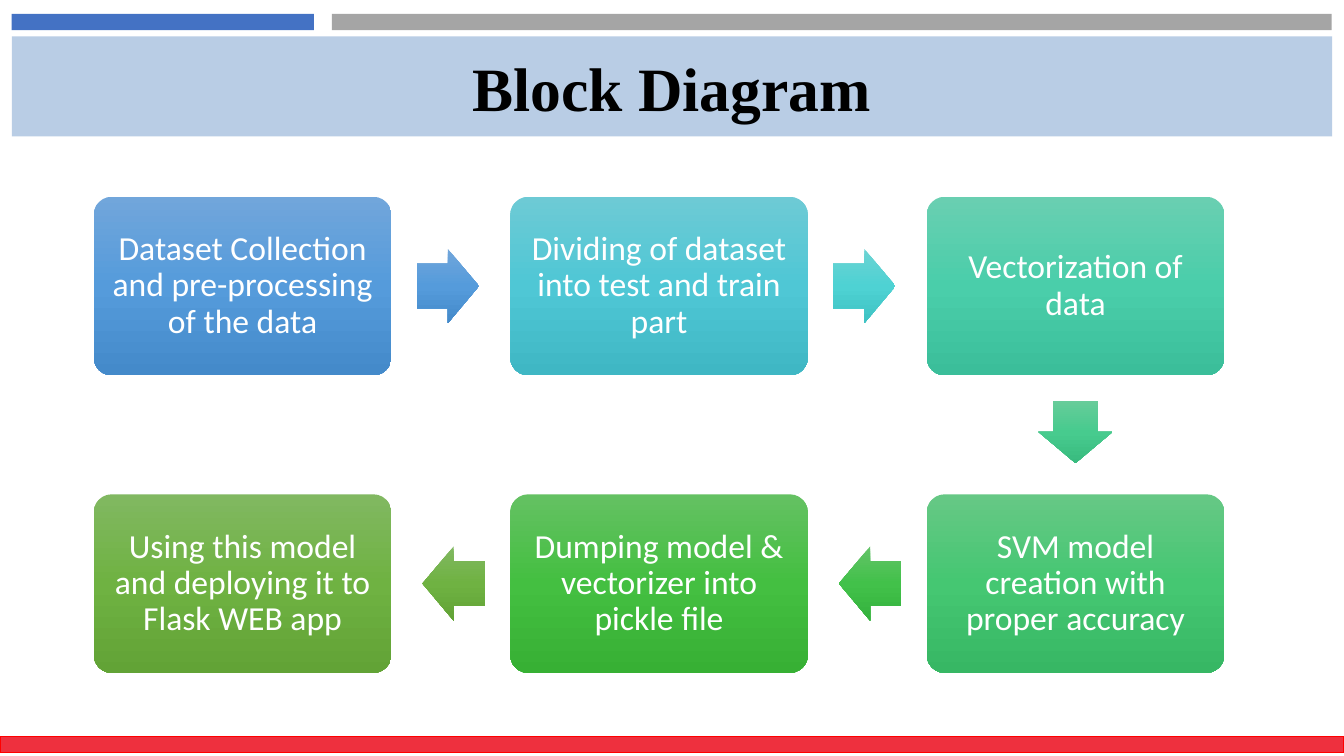
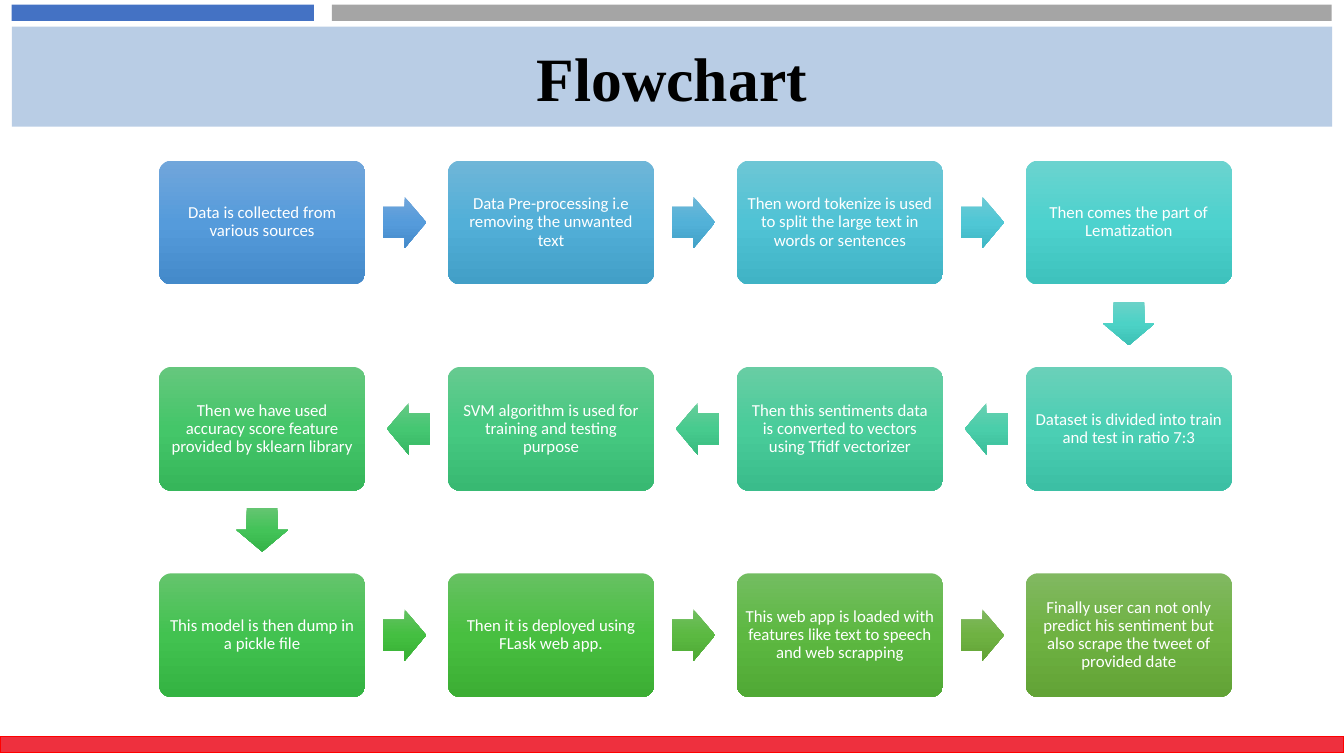
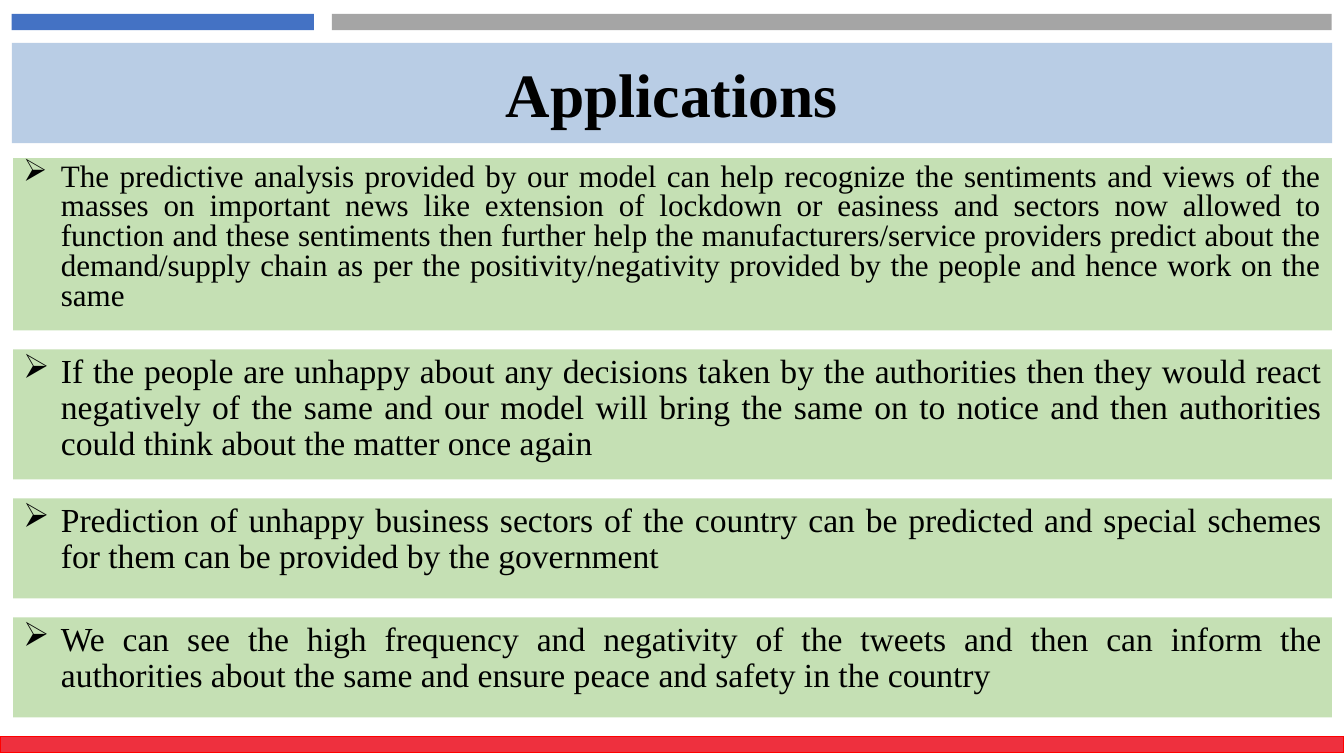
from copy import deepcopy

from pptx import Presentation
from pptx.dml.color import RGBColor
from pptx.enum.shapes import MSO_SHAPE as Preset
from pptx.enum.text import MSO_ANCHOR as Anchor, MSO_AUTO_SIZE as AutoSize, PP_ALIGN as Align
from pptx.oxml.ns import qn
from pptx.oxml.xmlchemy import OxmlElement
from pptx.util import Pt

COLOURS = {
    "accent": "4472C4",
    "rule": "A5A5A5",
    "title": "B9CDE5",
    "panel": "C5E0B4",
    "footer": "EE303E",
    "footer_edge": "FF0000",
    "dark": "000000",
    "light": "FFFFFF",
}

GRADIENTS = {
    "blue": ("71A6DB", "559BDB", "448ACA"),
    "sky": ("6FB6D8", "52AFD8", "429FC7"),
    "azure": ("6FB8D8", "52B1D8", "42A1C7"),
    "cyan": ("6DC6D5", "50C3D5", "40B3C5"),
    "lagoon": ("6DCAD5", "4FC7D5", "3FB7C4"),
    "aqua": ("6CD3D3", "4ED2D3", "3EC2C3"),
    "turquoise": ("6BD3CF", "4DD2CE", "3EC2BD"),
    "teal": ("6BD2C8", "4CD2C6", "3DC1B5"),
    "seafoam": ("6AD0B9", "4BCFB4", "3CBFA4"),
    "mint": ("69CFB1", "4ACEAA", "3BBE9A"),
    "jade": ("68CDA4", "49CC9A", "3ABC8B"),
    "spring": ("67CC9A", "47CB8E", "39BB7F"),
    "sea_green": ("66CA90", "46C981", "38B972"),
    "emerald": ("66C885", "45C772", "37B764"),
    "clover": ("65C77D", "44C669", "36B65A"),
    "shamrock": ("64C571", "43C358", "35B449"),
    "fern": ("64C46C", "42C250", "34B342"),
    "green": ("63C368", "42C14A", "34B23D"),
    "leaf": ("64C162", "44BF41", "37B034"),
    "grass": ("67C162", "48BF40", "3CAE34"),
    "meadow": ("72BE61", "5BB941", "4EA935"),
    "lime": ("73BD61", "5DB841", "50A935"),
    "olive": ("81B861", "6FB242", "62A336"),
}

BLOCK_STEPS = [
    ("Dataset Collection and pre-processing of the data", "blue", "blue"),
    ("Dividing of dataset into test and train part", "lagoon", "aqua"),
    ("Vectorization of data", "mint", "spring"),
    ("SVM model creation with proper accuracy", "emerald", "green"),
    ("Dumping model & vectorizer into pickle file", "leaf", "olive"),
    ("Using this model and deploying it to Flask WEB app", "olive", None),
]

FLOWCHART_STEPS = [
    ("Data is collected from various sources", "blue", "blue"),
    ("Data Pre-processing i.e removing the unwanted text", "sky", "azure"),
    ("Then word tokenize is used to split the large text in words or sentences", "cyan", "lagoon"),
    ("Then comes the part of Lematization", "turquoise", "teal"),
    ("Dataset is divided into train and test in ratio 7:3", "seafoam", "mint"),
    ("Then this sentiments data is converted to vectors using Tfidf vectorizer", "jade", "spring"),
    ("SVM algorithm is used for training and testing purpose", "sea_green", "emerald"),
    ("Then we have used accuracy score feature provided by sklearn library", "clover", "shamrock"),
    ("This model is then dump in a pickle file", "fern", "leaf"),
    ("Then it is deployed using FLask web app.", "grass", "meadow"),
    ("This web app is loaded with features like text to speech and web scrapping", "lime", "olive"),
    ("Finally user can not only predict his sentiment but also scrape the tweet of provided date",
     "olive", None),
]

APPLICATIONS = [
    ("The predictive analysis provided by our model can help recognize the sentiments and views "
     "of the masses on important news like extension of lockdown or easiness and sectors now "
     "allowed to function and these sentiments then further help the manufacturers/service "
     "providers predict about the demand/supply chain as per the positivity/negativity provided "
     "by the people and hence work on the same", 123, 22.2, 0.8),
    ("If the people are unhappy about any decisions taken by the authorities then they would "
     "react negatively of the same and our model will bring the same on to notice and then "
     "authorities could think about the matter once again", 93, 24, 0.9),
    ("Prediction of unhappy business sectors of the country can be predicted and special schemes "
     "for them can be provided by the government", 71.5, 24, 0.9),
    ("We can see the high frequency and negativity of the tweets and then can inform the "
     "authorities about the same and ensure peace and safety in the country", 71.5, 24, 0.9),
]


def assign(target, **values):
    for name, value in values.items():
        setattr(target, name, value)


class Deck:
    SERIF = "Times New Roman"
    SANS = "Calibri"

    def __init__(self):
        self.presentation = Presentation()
        assign(self.presentation, slide_width=Pt(960), slide_height=Pt(540))
        self.slide = None

    def start(self, title, band_top, title_top):
        self.slide = self.presentation.slides.add_slide(self.presentation.slide_layouts[5])
        self.block(8.3, band_top, 216, 11.5, "accent")
        self.block(237, band_top, 714.2, 11.5, "rule")
        heading = self.slide.shapes.title
        assign(heading, left=Pt(8.5), top=Pt(title_top), width=Pt(943), height=Pt(71.5))
        self.paint(heading, "title")
        self.label(heading, title, self.SERIF, 44, "dark", bold=True)
        footer = self.block(0, 526, 960, 11.5, "footer")
        footer.line.color.rgb = RGBColor.from_string(COLOURS["footer_edge"])
        footer.line.width = Pt(1)

    def paint(self, shape, colour):
        shape.fill.solid()
        shape.fill.fore_color.rgb = RGBColor.from_string(COLOURS[colour])

    def shape(self, preset, left, top, width, height):
        shape = self.slide.shapes.add_shape(preset, Pt(left), Pt(top), Pt(width), Pt(height))
        shape.shadow.inherit = False
        shape.line.fill.background()
        return shape

    def block(self, left, top, width, height, colour):
        block = self.shape(Preset.RECTANGLE, left, top, width, height)
        self.paint(block, colour)
        return block

    def shade(self, shape, gradient):
        fill = shape.fill
        fill.gradient()
        fill.gradient_angle = 270
        stops = shape.element.spPr.find(qn("a:gradFill")).find(qn("a:gsLst"))
        stops.append(deepcopy(stops[0]))
        for stop, position, colour in zip(fill.gradient_stops, (0, 0.5, 1), GRADIENTS[gradient]):
            stop.position = position
            stop.color.rgb = RGBColor.from_string(colour)

    def label(self, shape, text, font, size, colour, bold=False, anchor=Anchor.MIDDLE,
              inset=None, **paragraph_format):
        frame = shape.text_frame
        assign(frame, text=text, word_wrap=True, auto_size=AutoSize.NONE, vertical_anchor=anchor)
        if inset is not None:
            sides = ("left", "top", "right", "bottom")
            assign(frame, **{f"margin_{side}": Pt(inset) for side in sides})
        paragraph = frame.paragraphs[0]
        assign(paragraph, **{"alignment": Align.CENTER, **paragraph_format})
        run_font = paragraph.runs[0].font
        assign(run_font, name=font, size=Pt(size), bold=bold)
        run_font.color.rgb = RGBColor.from_string(COLOURS[colour])
        return paragraph

    def arrow(self, preset, centre_x, centre_y, width, height, gradient):
        arrow = self.shape(preset, centre_x - width / 2, centre_y - height / 2, width, height)
        arrow.adjustments[0] = 0.6
        arrow.adjustments[1] = 0.5
        self.shade(arrow, gradient)

    def flow(self, steps, columns, left, top, box_width, size, inset):
        box_height = 0.6 * box_width
        length, breadth, lag = 0.21 * box_width, 0.25 * box_width, 0.01 * box_width

        def centre(index):
            row, place = divmod(index, columns)
            column = columns - 1 - place if row % 2 else place
            return (left + box_width * (0.5 + 1.4 * column),
                    top + box_height / 2 + box_width * row)

        for index, (text, box_colour, arrow_colour) in enumerate(steps):
            x, y = centre(index)
            box = self.shape(Preset.ROUNDED_RECTANGLE, x - box_width / 2, y - box_height / 2,
                             box_width, box_height)
            box.adjustments[0] = 0.1
            self.shade(box, box_colour)
            self.label(box, text, self.SANS, size, "light", inset=inset, line_spacing=0.9)
            if arrow_colour is None:
                continue
            next_x, next_y = centre(index + 1)
            middle_x, middle_y = (x + next_x) / 2, (y + next_y) / 2
            if next_y > y:
                self.arrow(Preset.DOWN_ARROW, middle_x, middle_y - lag, breadth, length,
                           arrow_colour)
            elif next_x > x:
                self.arrow(Preset.RIGHT_ARROW, middle_x - lag, middle_y, length, breadth,
                           arrow_colour)
            else:
                self.arrow(Preset.LEFT_ARROW, middle_x + lag, middle_y, length, breadth,
                           arrow_colour)

    def panels(self, entries, top, gap):
        for text, height, size, spacing in entries:
            panel = self.block(9.4, top, 942, height, "panel")
            paragraph = self.label(panel, text, self.SERIF, size, "dark", anchor=Anchor.TOP,
                                   alignment=Align.JUSTIFY, line_spacing=spacing,
                                   space_before=Pt(10))
            properties = paragraph._p.get_or_add_pPr()
            properties.set("marL", str(Pt(27)))
            properties.set("indent", str(Pt(-27)))
            bullet = OxmlElement("a:buChar")
            bullet.set("char", "➢")
            properties.append(bullet)
            top += height + gap


def main():
    deck = Deck()
    deck.start("Block Diagram", 10, 26)
    deck.flow(BLOCK_STEPS, columns=3, left=67, top=140.6, box_width=212.5, size=24, inset=7.2)
    deck.start("Flowchart", 3.4, 19)
    deck.flow(FLOWCHART_STEPS, columns=4, left=113.6, top=114.7, box_width=147.4, size=12,
              inset=3.6)
    deck.start("Applications", 10, 30.7)
    deck.panels(APPLICATIONS, top=113, gap=13.5)
    deck.presentation.save("out.pptx")


if __name__ == "__main__":
    main()
